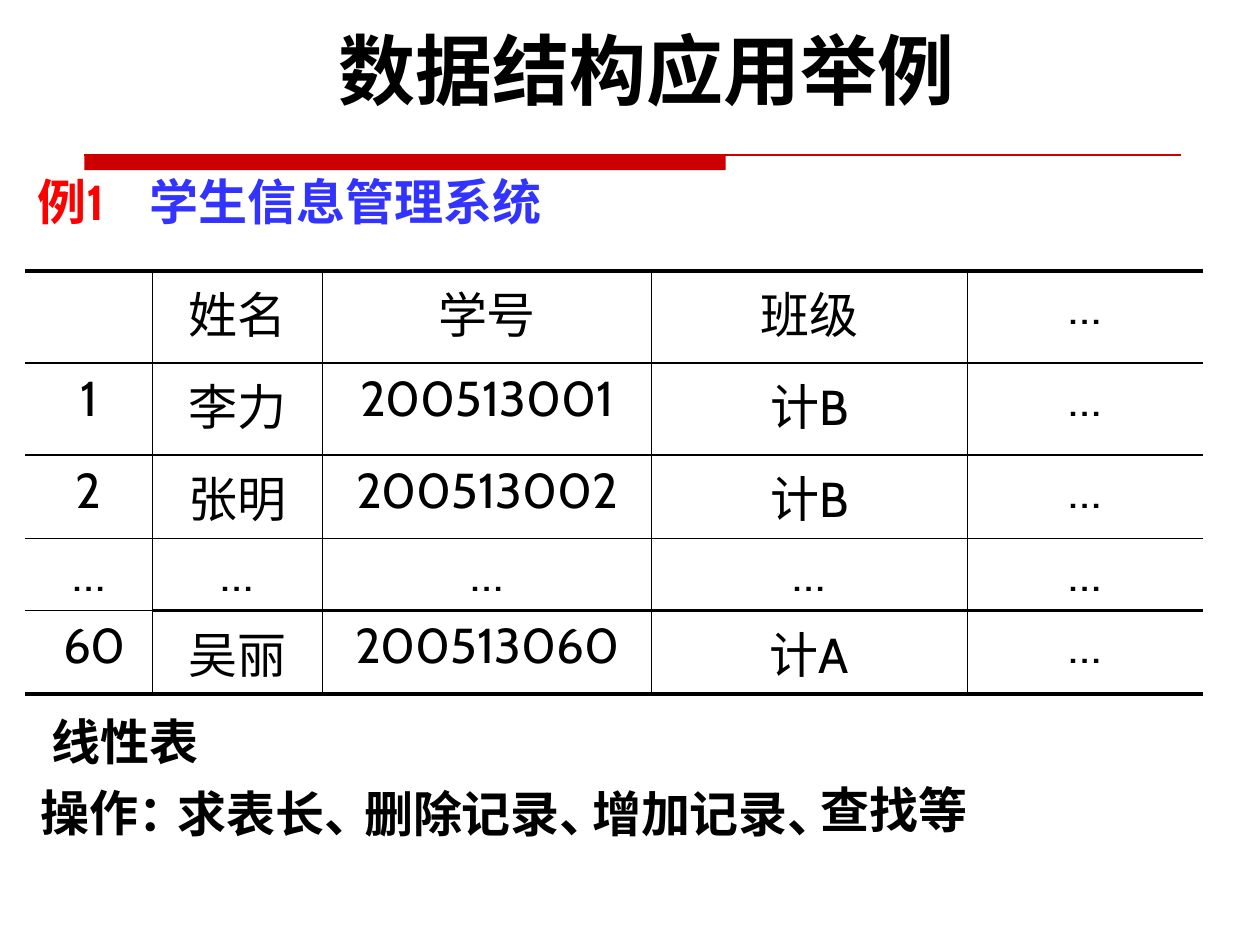
from dataclasses import dataclass
from typing import Any

from lxml.etree import SubElement
from pptx import Presentation
from pptx.dml.color import RGBColor
from pptx.enum.shapes import MSO_CONNECTOR, MSO_SHAPE
from pptx.enum.text import MSO_ANCHOR, PP_ALIGN
from pptx.oxml.ns import qn
from pptx.util import Inches, Pt

COLORS = {"text": "000000", "rule": "CC0000", "label": "FF0000", "topic": "3333FF"}
UNIT = 0.1
COLUMN_WIDTHS = [10.1, 13.5, 26.1, 25.1, 18.7]
ROW_HEIGHTS = [7.3, 7.3, 6.6, 5.7, 6.6]
RECORDS = [
    ["", "姓名", "学号", "班级", "…"],
    ["1", "李力", "200513001", "计B", "…"],
    ["2", "张明", "200513002", "计B", "…"],
    ["…"] * 5,
    ["60", "吴丽", "200513060", "计A", "…"],
]
OPERATIONS = [
    ("操作：", 3.2, 62.1, 11),
    ("求表长、", 14.1, 62.2, 16.2),
    ("删除记录、", 28.9, 62.2, 21.2),
    ("增加记录、", 47, 62.2, 20.3),
    ("查找等", 65.1, 61.9, 12.5),
]


def grid(*units):
    return [Inches(unit * UNIT) for unit in units]


@dataclass
class SlideBuilder:
    slide: Any
    font: str = "Cabin"
    size: int = 28
    thin: float = 1
    thick: float = 2.25

    def style(self, run, color="text", size=None, bold=True):
        run.font.name = self.font
        run.font.size = Pt(size or self.size)
        run.font.bold = bold
        run.font.color.rgb = RGBColor.from_string(COLORS[color])

    def title(self, text, left, top, width, height):
        shape = self.slide.shapes.title
        shape.left, shape.top, shape.width, shape.height = grid(left, top, width, height)
        frame = shape.text_frame
        frame.text = text
        frame.vertical_anchor = MSO_ANCHOR.BOTTOM
        frame.paragraphs[0].alignment = PP_ALIGN.CENTER
        self.style(frame.paragraphs[0].runs[0], size=44)

    def bar(self, left, top, width, height):
        shape = self.slide.shapes.add_shape(
            MSO_SHAPE.RECTANGLE, *grid(left, top, width, height))
        shape.shadow.inherit = False
        shape.fill.solid()
        shape.fill.fore_color.rgb = RGBColor.from_string(COLORS["rule"])
        shape.line.fill.background()

    def line(self, left, top, right):
        connector = self.slide.shapes.add_connector(
            MSO_CONNECTOR.STRAIGHT, *grid(left, top, right, top))
        connector.line.color.rgb = RGBColor.from_string(COLORS["rule"])
        connector.line.width = Pt(0.75)
        SubElement(connector.element.spPr, qn("a:effectLst"))

    def text(self, pieces, left, top, width, wrap=True, tab=None):
        shape = self.slide.shapes.add_textbox(*grid(left, top, width, 4.7))
        frame = shape.text_frame
        frame.word_wrap = wrap
        frame.margin_left = frame.margin_right = 0
        frame.margin_top = frame.margin_bottom = 0
        paragraph = frame.paragraphs[0]
        if tab:
            stops = SubElement(paragraph._p.get_or_add_pPr(), qn("a:tabLst"))
            SubElement(stops, qn("a:tab"), pos=str(grid(tab)[0]), algn="l")
        for text, color in pieces:
            run = paragraph.add_run()
            run.text = text
            self.style(run, color)

    def border(self, cell, side, width):
        properties = cell._tc.get_or_add_tcPr()
        line = SubElement(properties, qn(f"a:ln{side}"), w=str(Pt(width)))
        if width:
            fill = SubElement(line, qn("a:solidFill"))
            SubElement(fill, qn("a:srgbClr"), val=COLORS["text"])
        else:
            SubElement(line, qn("a:noFill"))

    def horizontal_width(self, boundary, column, count):
        heavy = boundary in (0, count) or (boundary == count - 1 and column > 0)
        return self.thick if heavy else self.thin

    def table(self, records, left, top, widths, heights):
        rows, columns = len(records), len(widths)
        table = self.slide.shapes.add_table(
            rows, columns, *grid(left, top, sum(widths), sum(heights))).table
        table.first_row = table.horz_banding = False
        for column, width in zip(table.columns, grid(*widths)):
            column.width = width
        for row, height in zip(table.rows, grid(*heights)):
            row.height = height
        for r, record in enumerate(records):
            for c, value in enumerate(record):
                cell = table.cell(r, c)
                self.border(cell, "L", self.thin if c else 0)
                self.border(cell, "R", self.thin if c < columns - 1 else 0)
                self.border(cell, "T", self.horizontal_width(r, c, rows))
                self.border(cell, "B", self.horizontal_width(r + 1, c, rows))
                cell.fill.background()
                cell.text_frame.text = value
                paragraph = cell.text_frame.paragraphs[0]
                paragraph.alignment = PP_ALIGN.CENTER
                paragraph.font.size = Pt(self.size)
                for run in paragraph.runs:
                    self.style(run, bold=False)
        table.cell(rows - 1, 0).margin_left = grid(1.9)[0]


def main():
    presentation = Presentation()
    presentation.slide_width, presentation.slide_height = grid(100, 75)
    builder = SlideBuilder(presentation.slides.add_slide(presentation.slide_layouts[5]))
    builder.bar(6.7, 12.3, 50.9, 1.2)
    builder.line(6.7, 12.3, 93.7)
    builder.table(RECORDS, 2, 21.5, COLUMN_WIDTHS, ROW_HEIGHTS)
    builder.text([("线性表", "text")], 4.1, 56.5, 19.5)
    for text, left, top, width in OPERATIONS:
        builder.text([(text, "text")], left, top, width)
    builder.title("数据结构应用举例", 8.3, 2.1, 86.1, 7.5)
    builder.text([("例1\t", "label"), ("学生信息管理系统", "topic")],
                 3, 13.6, 40.3, wrap=False, tab=8.9)
    presentation.save("out.pptx")


if __name__ == "__main__":
    main()
